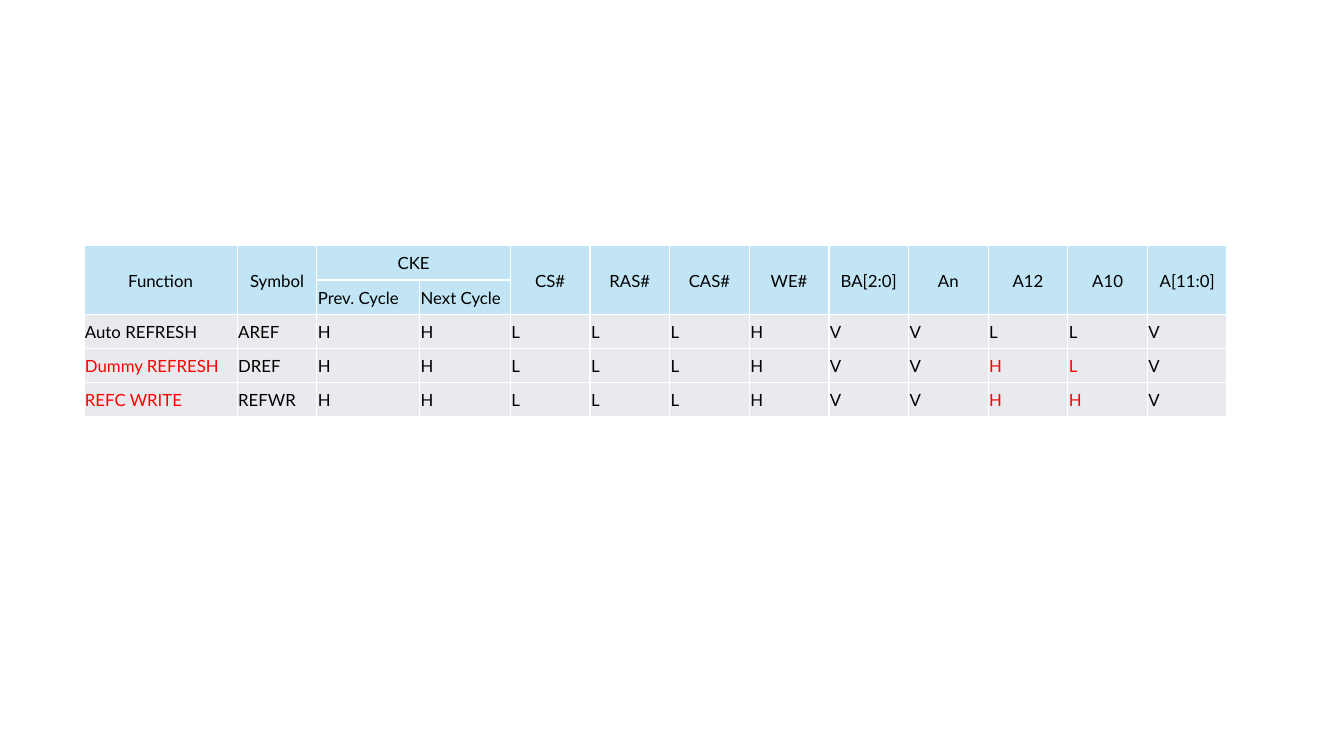
from lxml.etree import SubElement as Sub
from pptx import Presentation
from pptx.dml.color import RGBColor as Rgb
from pptx.enum.text import MSO_ANCHOR as Anchor, PP_ALIGN as Align
from pptx.oxml.ns import qn
from pptx.util import Inches, Pt

BLACK = Rgb(0x00, 0x00, 0x00)
RED = Rgb(0xFF, 0x00, 0x00)
BLUE = Rgb(0xC1, 0xE5, 0xF5)
GREY = Rgb(0xE8, 0xEA, 0xED)
WHITE = Rgb(0xFF, 0xFF, 0xFF)

WIDE, HIGH = Inches(13.33), Inches(7.5)
LEFT, TOP = 0.0625, 0.325
ROW = Inches(0.34)
COLS = [1.52, 0.79, 1.02, 0.9] + [0.79] * 9
HEADS = ["Function", "Symbol", "CKE", "", "CS#", "RAS#", "CAS#", "WE#",
         "BA[2:0]", "An", "A12", "A10", "A[11:0]"]
CYCLES = {2: "Prev. Cycle", 3: "Next Cycle"}
SAME = ["H", "H", "L", "L", "L", "H", "V", "V"]
MODES = [
    ("Auto REFRESH", "AREF", "L", "L", BLACK),
    ("Dummy REFRESH", "DREF", "H", "L", RED),
    ("REFC WRITE", "REFWR", "H", "H", RED),
]


def edge(cell):
    props = cell._tc.get_or_add_tcPr()
    for side in ("lnL", "lnR", "lnT", "lnB"):
        line = Sub(props, qn(f"a:{side}"), w=str(Pt(1)))
        fill = Sub(line, qn("a:solidFill"))
        Sub(fill, qn("a:srgbClr"), val=str(WHITE))


def style(cell, back):
    edge(cell)
    cell.fill.solid()
    cell.fill.fore_color.rgb = back
    cell.vertical_anchor = Anchor.MIDDLE
    cell.margin_left = cell.margin_right = cell.margin_top = Inches(0.01)
    cell.margin_bottom = 0


def write(cell, text, color=BLACK, align=Align.LEFT):
    para = cell.text_frame.paragraphs[0]
    para.alignment = align
    run = para.add_run()
    run.text = text
    run.font.name = "Lato"
    run.font.size = Pt(12)
    run.font.color.rgb = color


def make_grid(slide):
    rows = len(MODES) + 2
    widths = [Inches(col) for col in COLS]
    frame = slide.shapes.add_table(rows, len(COLS), int(WIDE * LEFT),
                                   int(HIGH * TOP), sum(widths), ROW * rows)
    grid = frame.table
    grid.first_row = grid.horz_banding = False
    for col, width in zip(grid.columns, widths):
        col.width = width
    for i, row in enumerate(grid.rows):
        row.height = ROW
        for cell in row.cells:
            style(cell, BLUE if i < 2 else GREY)
    return grid


def fill_head(grid):
    grid.cell(0, 2).merge(grid.cell(0, 3))
    for j, head in enumerate(HEADS):
        if j not in CYCLES:
            grid.cell(0, j).merge(grid.cell(1, j))
        if head:
            write(grid.cell(0, j), head, align=Align.CENTER)
    for j, text in CYCLES.items():
        write(grid.cell(1, j), text)


def fill_body(grid):
    marked = (0, HEADS.index("A12"), HEADS.index("A10"))
    for i, (name, symbol, a12, a10, color) in enumerate(MODES, 2):
        for j, text in enumerate([name, symbol, *SAME, a12, a10, "V"]):
            write(grid.cell(i, j), text, color if j in marked else BLACK)


def main():
    deck = Presentation()
    deck.slide_width, deck.slide_height = WIDE, HIGH
    slide = deck.slides.add_slide(deck.slide_layouts[6])
    grid = make_grid(slide)
    fill_head(grid)
    fill_body(grid)
    deck.save("out.pptx")


if __name__ == "__main__":
    main()
